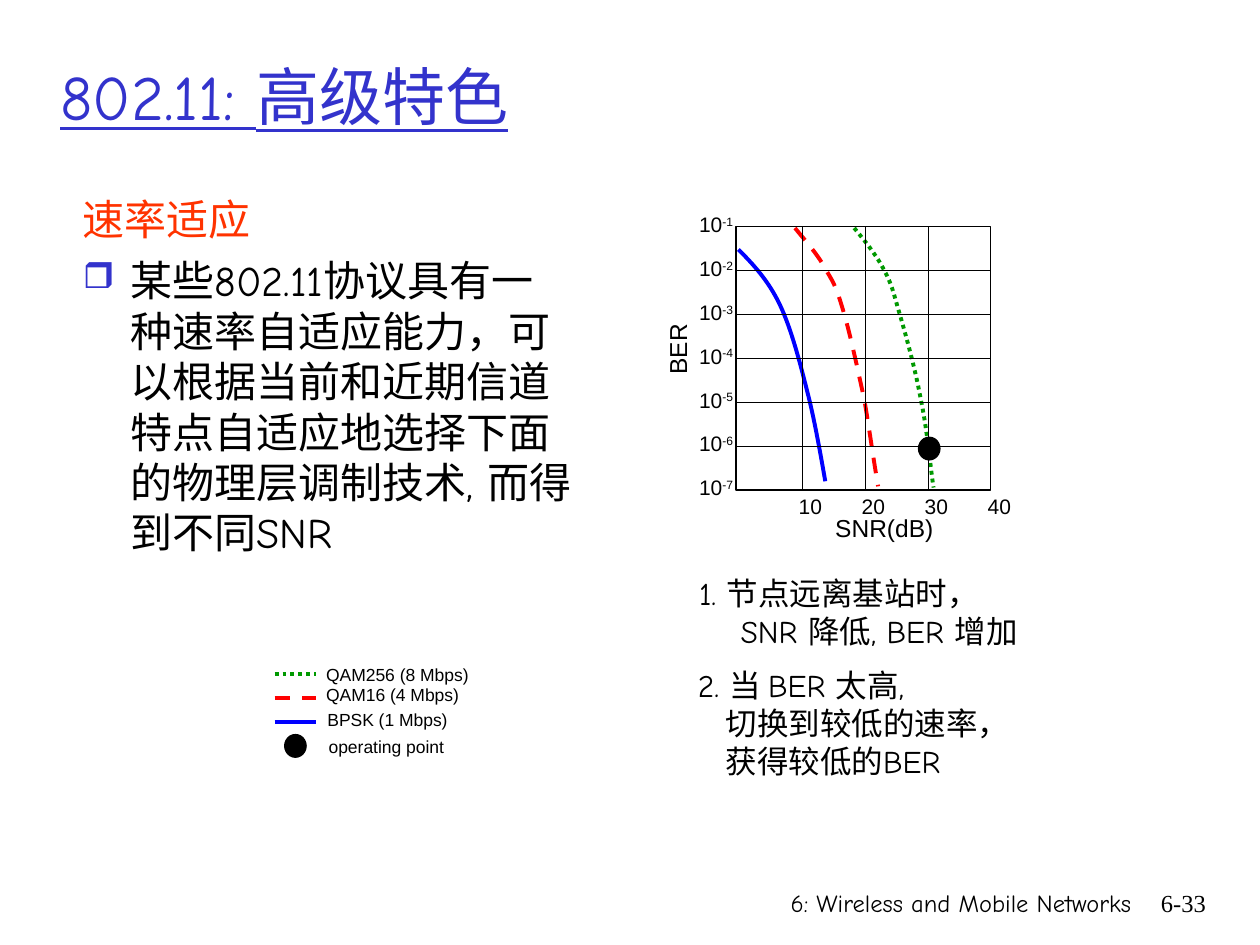
from lxml.etree import SubElement
from pptx import Presentation
from pptx.dml.color import RGBColor
from pptx.enum.dml import MSO_LINE
from pptx.enum.shapes import MSO_CONNECTOR, MSO_SHAPE
from pptx.enum.text import MSO_ANCHOR, MSO_AUTO_SIZE, PP_ALIGN
from pptx.oxml.ns import qn
from pptx.util import Inches, Pt

BLACK = RGBColor(0, 0, 0)
BLUE = RGBColor(0x00, 0x00, 0xFF)
RED = RGBColor(0xFF, 0x00, 0x00)
GREEN = RGBColor(0x00, 0x99, 0x00)
INDIGO = RGBColor(0x33, 0x33, 0xCC)
ORANGE = RGBColor(0xFF, 0x33, 0x00)
COMIC, ARIAL, TIMES = "Comic Neue", "Arial", "Times New Roman"

TITLE = "802.11: 高级特色"
HEADING = "速率适应"
BODY = ("某些802.11协议具有一种速率自适应能力，可以根据当前和近期信道特点"
        "自适应地选择下面的物理层调制技术, 而得到不同SNR")
NOTES = [
    ((5.45, 4.51, 3.5, 0.7), 0.33, ["1. 节点远离基站时，", "SNR 降低, BER 增加"]),
    ((5.44, 5.24, 3.5, 1), 0.22, ["2. 当 BER 太高,", "切换到较低的速率，", "获得较低的BER"]),
]
FOOTERS = [
    ("6: Wireless and Mobile Networks", (4.86, 7, 4.22, 0.5), COMIC),
    ("6-33", (8.93, 7, 0.74, 0.5), TIMES),
]
LEGEND = [
    ("QAM256 (8 Mbps)", (2.49, 5.22, 1.33, 0.27), 5.35, GREEN, MSO_LINE.ROUND_DOT),
    ("QAM16 (4 Mbps)", (2.49, 5.38, 1.25, 0.27), 5.54, RED, MSO_LINE.DASH),
    ("BPSK (1 Mbps)", (2.5, 5.58, 1.15, 0.27), 5.73, BLUE, None),
]
CURVES = [
    (BLUE, None, [(5.86, 1.98), (5.98, 2.1), (6.1, 2.23), (6.19, 2.42), (6.28, 2.61),
                  (6.35, 2.88), (6.41, 3.12), (6.47, 3.35), (6.53, 3.71), (6.55, 3.82)]),
    (RED, MSO_LINE.DASH, [(6.31, 1.81), (6.4, 1.92), (6.5, 2.03), (6.56, 2.15), (6.63, 2.26),
                          (6.65, 2.32), (6.7, 2.49), (6.75, 2.66), (6.81, 2.94), (6.86, 3.17),
                          (6.9, 3.4), (6.93, 3.63), (6.97, 3.86)]),
    (GREEN, MSO_LINE.ROUND_DOT, [(6.78, 1.81), (6.87, 1.92), (6.96, 2.03), (7.02, 2.15),
                                 (7.08, 2.26), (7.09, 2.32), (7.14, 2.49), (7.19, 2.66),
                                 (7.27, 2.95), (7.31, 3.18), (7.36, 3.41), (7.39, 3.76),
                                 (7.41, 3.87)]),
]
SNR_TICKS = ["10", "20", "30", "40"]
BER_EXPONENTS = ["-1", "-2", "-3", "-4", "-5", "-6", "-7"]
PLOT = (5.84, 1.8, 2.02, 2.09)
COLUMN_STEP = 0.5
ROW_STEP = PLOT[3] / 6

presentation = Presentation()
presentation.slide_width, presentation.slide_height = Inches(10), Inches(7.5)
slide = presentation.slides.add_slide(presentation.slide_layouts[5])
shapes = slide.shapes


def box_lengths(box):
    return [Inches(value) for value in box]


def write(paragraph, text, size=12, font=ARIAL, color=BLACK, align=PP_ALIGN.LEFT,
          underline=None, superscript=None):
    paragraph.alignment = align
    for content, raised in ((text, False), (superscript, True)):
        if content:
            run = paragraph.add_run()
            run.text = content
            run.font.size, run.font.name = Pt(size), font
            run.font.color.rgb, run.font.underline = color, underline
            if raised:
                run.font._element.set("baseline", "30000")


def add_text(text, box, wrap=False, rotation=0, **text_format):
    shape = shapes.add_textbox(*box_lengths(box))
    shape.rotation = rotation
    frame = shape.text_frame
    frame.word_wrap = wrap
    frame.auto_size = MSO_AUTO_SIZE.NONE if wrap else MSO_AUTO_SIZE.SHAPE_TO_FIT_TEXT
    write(frame.paragraphs[0], text, **text_format)
    return frame


def set_indent(paragraph, left, first=0):
    properties = paragraph._p.get_or_add_pPr()
    properties.set("marL", str(Inches(left)))
    properties.set("indent", str(Inches(first)))
    return properties


def style_line(shape, color, width, dash=None):
    shape.line.color.rgb, shape.line.width = color, Pt(width)
    if dash:
        shape.line.dash_style = dash


def add_line(x1, y1, x2, y2, color=BLACK, width=0.75, dash=None):
    connector = shapes.add_connector(MSO_CONNECTOR.STRAIGHT, *box_lengths((x1, y1, x2, y2)))
    style_line(connector, color, width, dash)
    SubElement(connector._element.spPr, qn("a:effectLst"))
    return connector


def add_preset(kind, box, fill=None):
    shape = shapes.add_shape(kind, *box_lengths(box))
    shape.shadow.inherit = False
    if fill is None:
        shape.fill.background()
    else:
        shape.fill.solid()
        shape.fill.fore_color.rgb = fill
    style_line(shape, BLACK, 0.75)
    return shape


def add_curve(color, dash, controls):
    builder = shapes.build_freeform(*box_lengths(controls[0]))
    builder.add_line_segments([box_lengths(point) for point in controls[1:]], close=False)
    curve = builder.convert_to_shape()
    outline = next(curve._element.iter(qn("a:path")))
    segments = outline.findall(qn("a:lnTo"))
    for start in range(0, len(segments), 3):
        bezier = SubElement(outline, qn("a:cubicBezTo"))
        for segment in segments[start:start + 3]:
            bezier.append(segment[0])
            outline.remove(segment)
    curve.shadow.inherit = False
    curve.fill.background()
    style_line(curve, color, 2.25, dash)


title = shapes.title
title.left, title.top, title.width, title.height = box_lengths((0.38, 0.3, 8.5, 0.92))
title.text_frame.vertical_anchor = MSO_ANCHOR.MIDDLE
write(title.text_frame.paragraphs[0], TITLE, size=36, font=COMIC, color=INDIGO, underline=True)

for text, box, font in FOOTERS:
    add_text(text, box, wrap=True, size=14, font=font, align=PP_ALIGN.RIGHT)

body = add_text(HEADING, (0.56, 1.49, 4.1, 5.08), wrap=True, size=24, font=COMIC, color=ORANGE)
item = body.add_paragraph()
item.space_before = Pt(6)
bullet = set_indent(item, 0.38, -0.38)
SubElement(SubElement(bullet, qn("a:buClr")), qn("a:srgbClr"), val=str(INDIGO))
SubElement(bullet, qn("a:buSzPct"), val="85000")
SubElement(bullet, qn("a:buChar"), char="❒")
write(item, BODY, size=24, font=COMIC)

for text, box, y, color, dash in LEGEND:
    add_line(2.18, y, 2.51, y, color, 2.25, dash)
    add_text(text, box, size=10)
add_preset(MSO_SHAPE.OVAL, (2.26, 5.83, 0.17, 0.18), BLACK)
add_text("operating point", (2.51, 5.79, 1.14, 0.27), size=10)

for curve in CURVES:
    add_curve(*curve)

left, top, width, height = PLOT
plot = add_preset(MSO_SHAPE.RECTANGLE, PLOT)
for row in range(1, 6):
    y = top + row * ROW_STEP
    line = add_line(left, y, left + width, y)
    if row == 3:
        line.begin_connect(plot, 1)
        line.end_connect(plot, 3)
for column in range(3):
    x = left + 0.53 + column * COLUMN_STEP
    add_line(x, top, x, top + height)
add_preset(MSO_SHAPE.OVAL, (7.29, 3.47, 0.17, 0.18), BLACK)

for column, tick in enumerate(SNR_TICKS):
    add_text(tick, (6.24 + column * COLUMN_STEP, 3.87, 0.4, 0.3))
for row, exponent in enumerate(BER_EXPONENTS):
    add_text("10", (5.45, 1.63 + row * ROW_STEP, 0.47, 0.3), superscript=exponent)
add_text("SNR(dB)", (6.53, 4.02, 0.98, 0.34), size=14)
add_text("BER", (5.08, 2.6, 0.6, 0.34), rotation=270, size=14)

for box, indent, lines in NOTES:
    note = add_text(lines[0], box, wrap=True, size=18, font=COMIC)
    for text in lines[1:]:
        paragraph = note.add_paragraph()
        set_indent(paragraph, indent)
        write(paragraph, text, size=18, font=COMIC)

presentation.save("out.pptx")
